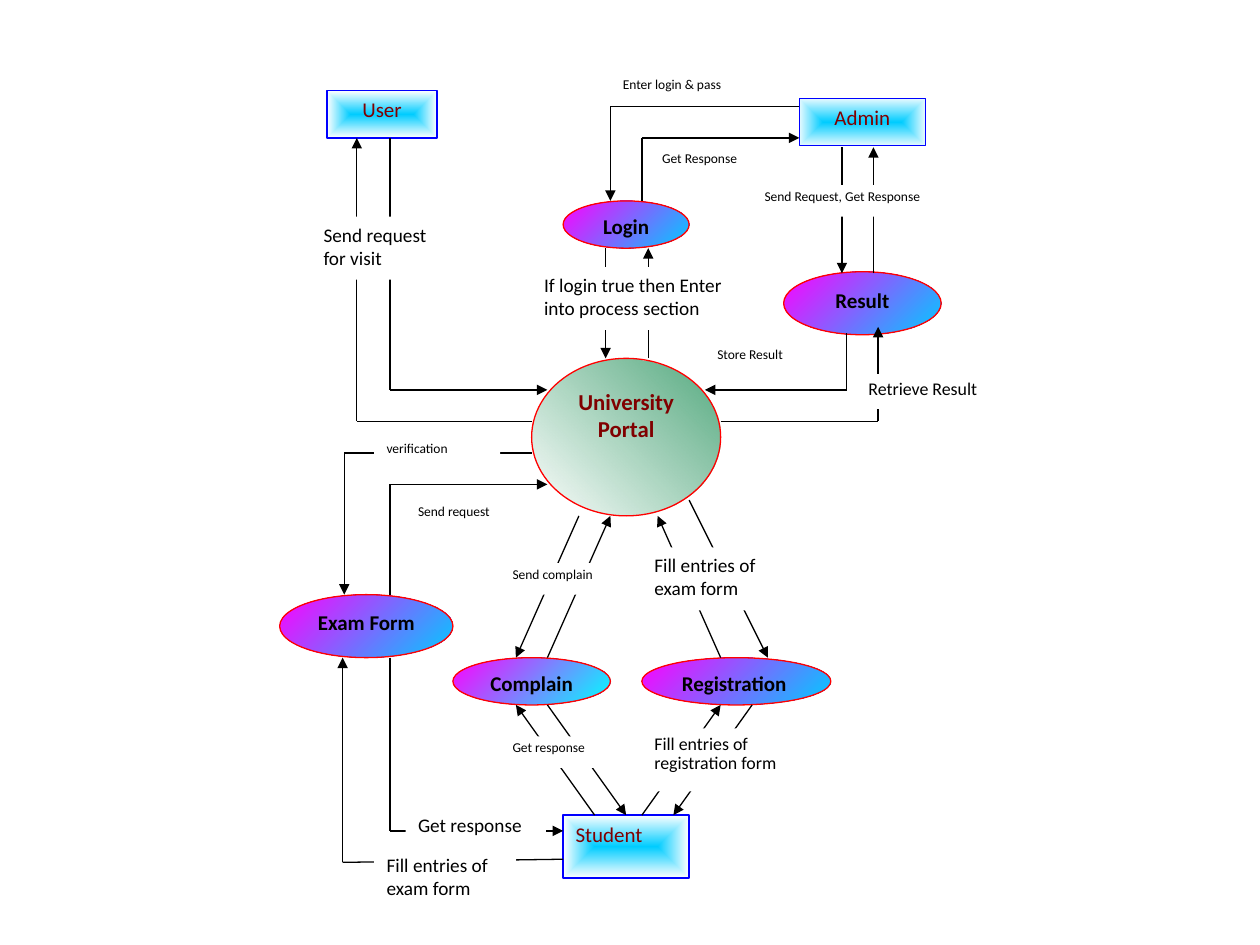
from lxml import etree
from pptx import Presentation, util as u
from pptx.dml.color import RGBColor
from pptx.enum import shapes, text
from pptx.oxml import ns

hues = {
    "white": "FFFFFF", "black": "000000", "red": "FF0000", "blue": "0000FF",
    "maroon": "800000", "green": "339966", "pink": "FF00FF", "sky": "00CCFF",
    "aqua": "00FFFF", "pale": "E7FAFF",
}
kinds = shapes.MSO_SHAPE
sides = text.PP_ALIGN


def grid(n):
    return u.Cm(0.24 + n * 2.54 / 8)


def block(kind, box, words, size, hue, bold, align, space):
    left, top, wide, high = box
    shape = slide.shapes.add_shape(
        kind, grid(left), grid(top), u.Cm(wide * 2.54 / 8), u.Cm(high * 2.54 / 8))
    shape.shadow.inherit = False
    frame = shape.text_frame
    frame.word_wrap = True
    frame.vertical_anchor = text.MSO_ANCHOR.TOP
    frame.text = words
    para = frame.paragraphs[0]
    para.alignment = align
    para.line_spacing = space
    font = para.runs[0].font
    font.name, font.size, font.bold = "Calibri", u.Pt(size), bold
    font.color.rgb = RGBColor.from_string(hues[hue])
    return shape


deck = Presentation()
deck.slide_width, deck.slide_height = u.Cm(25.4), u.Cm(19.05)
slide = deck.slides.add_slide(deck.slide_layouts[6])

mid, left, just = sides.CENTER, sides.LEFT, sides.JUSTIFY
nodes = [
    ("University Portal", kinds.OVAL, (33, 22, 12, 10), "white", "green", mid),
    ("Login", kinds.OVAL, (35, 12, 8, 3), "pink", "sky", mid),
    ("Exam Form", kinds.OVAL, (17, 37, 11, 4), "pink", "sky", mid),
    ("Complain", kinds.OVAL, (28, 41, 10, 3), "pink", "aqua", mid),
    ("Registration", kinds.OVAL, (40, 41, 12, 3), "pink", "sky", just),
    ("Result", kinds.OVAL, (49, 16.5, 10, 4), "pink", "sky", mid),
    ("User", kinds.RECTANGLE, (20, 5, 7, 3), "sky", "white", mid),
    ("Admin", kinds.RECTANGLE, (50, 5.5, 8, 3), "sky", "pale", mid),
    ("Student", kinds.RECTANGLE, (35, 51, 8, 4), "sky", "white", left),
]
for words, kind, box, start, end, align in nodes:
    hub = words == "University Portal"
    oval = kind == kinds.OVAL
    hue = "black" if oval and not hub else "maroon"
    node = block(kind, box, words, 13 if hub else 12, hue, oval, align, 1)
    node.line.color.rgb = RGBColor.from_string(hues["red" if oval else "blue"])
    node.line.width = u.Pt(0.75)
    node.fill.gradient()
    node.fill.gradient_angle = 45 if hub else 315
    for stop, tint in zip(node.fill.gradient_stops, (start, end)):
        stop.color.rgb = RGBColor.from_string(hues[tint])
    grad = node._element.spPr.find(ns.qn("a:gradFill"))
    if hub:
        for tone, alpha in zip(grad.iter(ns.qn("a:srgbClr")), (87000, 83000)):
            etree.SubElement(tone, ns.qn("a:alpha")).set("val", str(alpha))
    if not oval:
        grad.remove(grad.find(ns.qn("a:lin")))
        way = etree.SubElement(grad, ns.qn("a:path"))
        way.set("path", "rect")
        core = etree.SubElement(way, ns.qn("a:fillToRect"))
        for edge in "ltrb":
            core.set(edge, "50000")

routes = [
    [(33, 26), (21.9, 26), (21.9, 8)],
    [(24, 8), (24, 24), (34, 24)],
    [(50, 6), (38, 6), (38, 12)],
    [(40, 12), (40, 8), (50, 8)],
    [(37.7, 15), (37.7, 22)],
    [(40.4, 22), (40.4, 15)],
    [(52.7, 8.6), (52.7, 16.6)],
    [(54.7, 16.6), (54.7, 8.6)],
    [(45, 26), (55, 26), (55, 20)],
    [(53, 20.4), (53, 24), (44, 24)],
    [(33, 28), (21.1, 28), (21.1, 37)],
    [(24, 37), (24, 30), (34, 30)],
    [(35, 53.8), (21, 54), (21, 41)],
    [(24, 41), (24, 52), (35, 52)],
    [(36, 32), (32, 41)],
    [(34, 41), (38, 32)],
    [(37, 51), (32, 44)],
    [(34, 44), (39, 51)],
    [(43, 31), (48, 41)],
    [(45, 41), (41, 32)],
    [(47, 44), (42, 51)],
    [(40, 51), (45, 44)],
]
for route in routes:
    for start, end in zip(route, route[1:]):
        line = slide.shapes.add_connector(
            shapes.MSO_CONNECTOR.STRAIGHT, *map(grid, start + end))
        line.line.color.rgb = RGBColor.from_string(hues["black"])
        line.line.width = u.Pt(0.75)
        if end == route[-1]:
            head = etree.SubElement(line.line._get_or_add_ln(), ns.qn("a:tailEnd"))
            head.set("type", "triangle")
        etree.SubElement(line._element.spPr, ns.qn("a:effectLst"))

space = {7.7: 0.8, 10.2: 0.9, 11: 1}
labels = [
    ("Enter login & pass", (38, 3.9, 11, 2), 7.7),
    ("Get Response", (40.5, 8.6, 9, 2), 7.7),
    ("If login true then Enter into process section", (33, 16.2, 13, 4), 11),
    ("Send Request, Get Response", (47, 11, 16, 2), 7.7),
    ("Store Result", (44, 21, 8, 2), 7.7),
    ("Send request for visit", (19, 13, 9, 4), 11),
    ("Fill entries of exam form", (23, 53, 9, 4), 11),
    ("Get response", (25, 50.5, 8.9, 2.5), 11),
    ("Send request", (25, 31, 8, 2), 7.7),
    ("verification", (23, 27, 8, 2), 7.7),
    ("Send complain", (31, 35, 9, 2), 7.7),
    ("Get response", (31, 46, 9, 2), 7.7),
    ("Fill entries of registration form", (40, 45.5, 10, 4), 10.2),
    ("Fill entries of exam form", (40, 34, 9, 4), 11),
    ("Retrieve Result", (53.6, 23, 9.6, 2.2), 10.2),
]
for words, box, size in labels:
    label = block(kinds.RECTANGLE, box, words, size, "black", False, left, space[size])
    label.fill.solid()
    label.fill.fore_color.rgb = RGBColor.from_string(hues["white"])
    label.line.fill.background()

deck.save("out.pptx")
